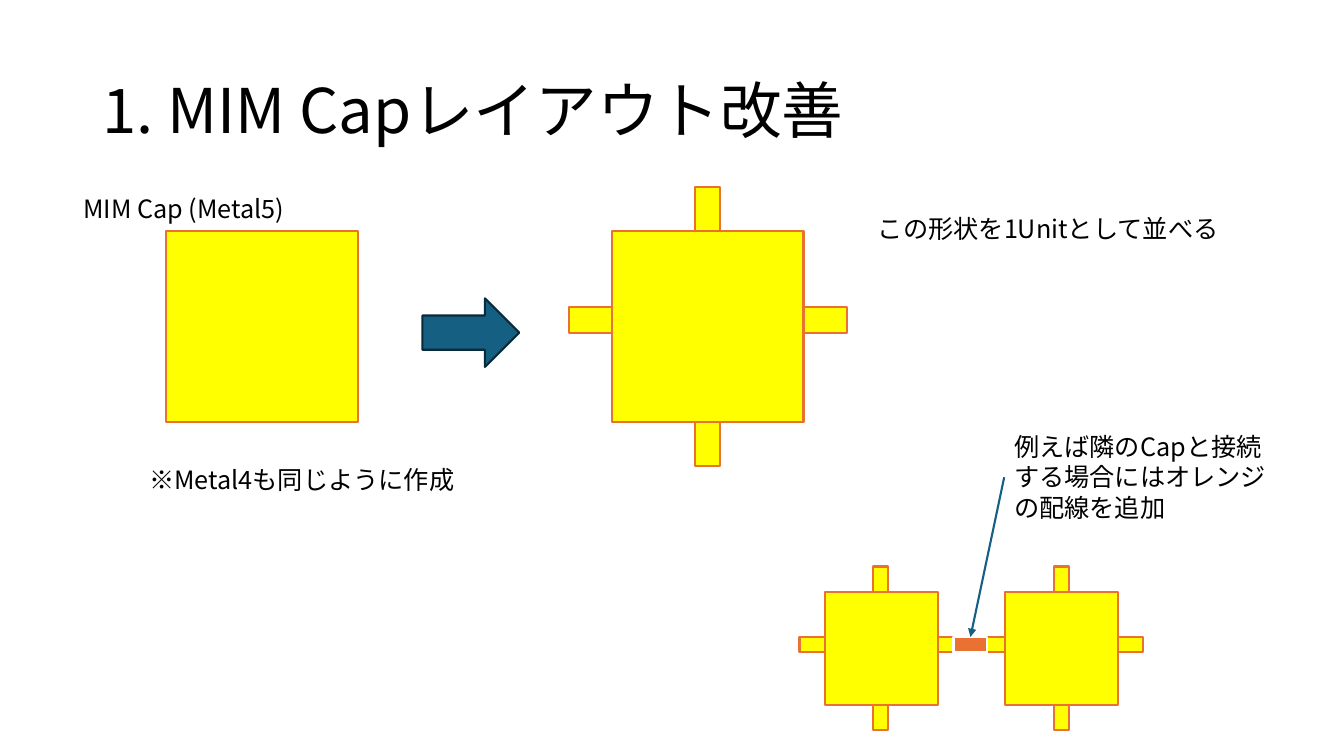
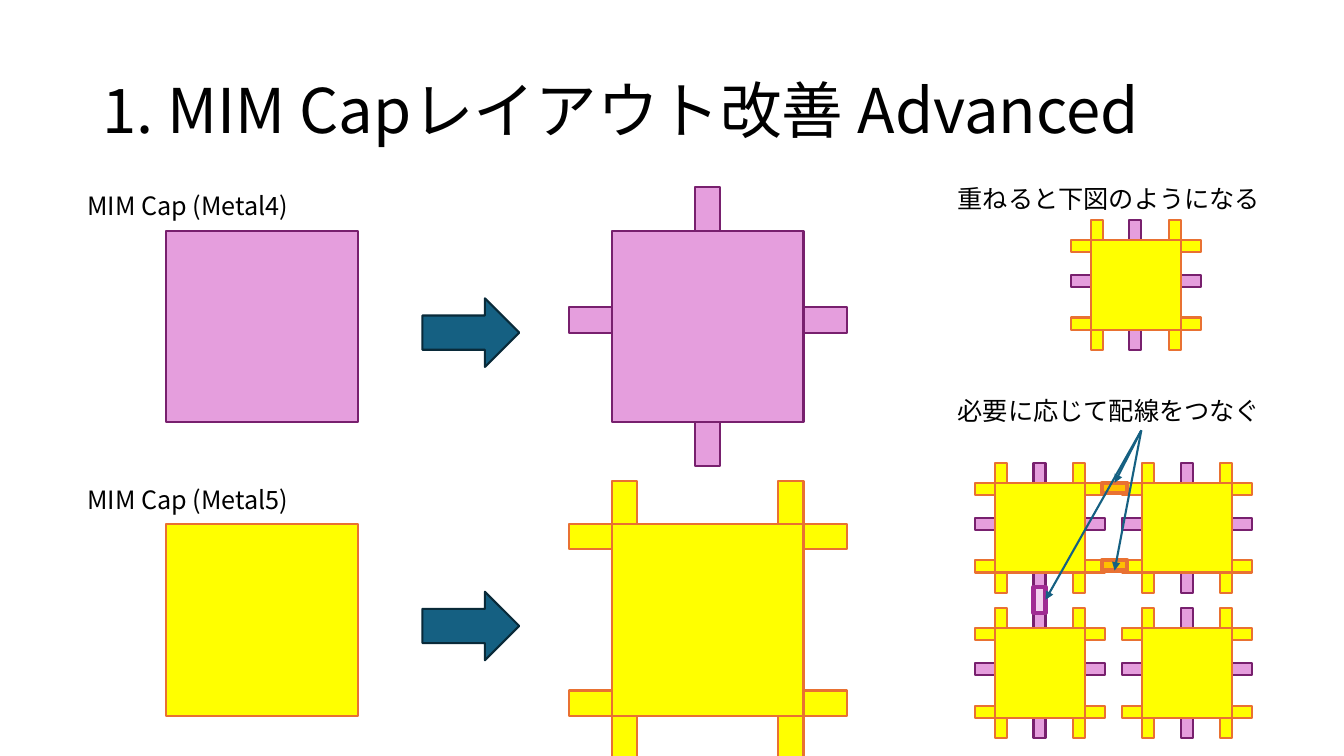
from dataclasses import dataclass
from itertools import product
from typing import NamedTuple

from lxml.etree import SubElement
from pptx import Presentation
from pptx.dml.color import RGBColor
from pptx.enum.lang import MSO_LANGUAGE_ID
from pptx.enum.shapes import MSO_CONNECTOR, MSO_SHAPE
from pptx.enum.text import MSO_ANCHOR
from pptx.oxml.ns import qn
from pptx.util import Emu, Pt

PX = 9144  # EMU per px, 100 px to the inch
TOP, LEFT, BOTTOM, RIGHT = range(4)  # connection sites of a rectangle


class Paint(NamedTuple):
    fill: str
    line: str
    weight: float = 1.5


class Box(NamedTuple):
    x: int
    y: int
    w: int
    h: int


@dataclass(frozen=True)
class Theme:
    font: str = "Noto Sans CJK JP"
    title_size: int = 44
    body_size: int = 18
    text: str = "000000"
    pointer: str = "156082"
    arrow: Paint = Paint("156082", "092A39")
    metal4: Paint = Paint("E59EDD", "78206E")
    metal5: Paint = Paint("FFFF00", "E97132")
    orange_wire: Paint = Paint("E97132", "FFFFFF", 2)
    wire4: Paint = Paint("F2CFEE", "A02B93", 3)
    wire5: Paint = Paint("FFC000", "E97132", 3)


THEME = Theme()


class Layer(NamedTuple):
    """Strips of one metal, in the middle or at the corners of the plate."""
    paint: Paint
    corners: bool = False


CROSS4 = Layer(THEME.metal4)
CROSS5 = Layer(THEME.metal5)
CORNERS5 = Layer(THEME.metal5, corners=True)


def emu(box: Box) -> list[Emu]:
    return [Emu(v * PX) for v in box]


def rgb(color: str) -> RGBColor:
    return RGBColor.from_string(color)


def add_shape(shapes, box: Box, paint: Paint, kind=MSO_SHAPE.RECTANGLE):
    sp = shapes.add_shape(kind, *emu(box))
    sp.shadow.inherit = False
    sp.fill.solid()
    sp.fill.fore_color.rgb = rgb(paint.fill)
    sp.line.color.rgb = rgb(paint.line)
    sp.line.width = Pt(paint.weight)
    return sp


def add_text(s, text: str, box: Box, *, size: int = THEME.body_size,
             anchor=MSO_ANCHOR.TOP, spacing: float = 1.0):
    sp = s.shapes.add_textbox(*emu(box))
    tf = sp.text_frame
    tf.word_wrap = True
    tf.vertical_anchor = anchor
    p = tf.paragraphs[0]
    p.line_spacing = spacing
    r = p.add_run()
    r.text = text
    r.font.size = Pt(size)
    r.font.color.rgb = rgb(THEME.text)
    r.font.name = THEME.font
    r.font.language_id = MSO_LANGUAGE_ID.JAPANESE
    SubElement(r.font._element, qn("a:ea"), typeface=THEME.font)
    return sp


def add_pointer(s, start, start_site: int, end, end_site: int) -> None:
    """Arrow joined to one side of each of two shapes."""
    cxn = s.shapes.add_connector(MSO_CONNECTOR.STRAIGHT, 0, 0, 0, 0)
    cxn.begin_connect(start, start_site)
    cxn.end_connect(end, end_site)
    cxn.line.color.rgb = rgb(THEME.pointer)
    cxn.line.width = Pt(1.5)
    SubElement(cxn.line._get_or_add_ln(), qn("a:tailEnd"), type="triangle")
    SubElement(cxn._element.spPr, qn("a:effectLst"))


def add_unit(s, x: int, y: int, size: int, *layers: Layer) -> None:
    """Capacitor plate over its strips; every part scales with the plate."""
    shapes = s.shapes.add_group_shape().shapes
    length, width = round(1.45 * size), round(0.134 * size)
    overhang = (length - size) // 2
    far = size - width
    for layer in layers:
        middle = far // 2
        columns = (0, far) if layer.corners else (middle,)
        rows = (0, far) if layer.corners else (middle - round(0.03 * size),)
        for dx in columns:
            add_shape(shapes, Box(x + dx, y - overhang, width, length), layer.paint)
        for dy in rows:
            add_shape(shapes, Box(x - overhang, y + dy, length, width), layer.paint)
    add_shape(shapes, Box(x, y, size, size), layers[-1].paint)


def add_step(s, y: int, layer: Layer) -> None:
    """Plain plate, block arrow and the plate with strips."""
    size = 190
    add_shape(s.shapes, Box(165, y, size, size), layer.paint)
    add_shape(s.shapes, Box(419, y + 67, 96, 68), THEME.arrow, MSO_SHAPE.RIGHT_ARROW)
    add_unit(s, 607, y, size, layer)


def add_slide(prs, title: str):
    s = prs.slides.add_slide(prs.slide_layouts[6])
    add_text(s, title, Box(92, 40, 1150, 145), size=THEME.title_size,
             anchor=MSO_ANCHOR.MIDDLE, spacing=0.9)
    return s


def build_basic(prs) -> None:
    s = add_slide(prs, "1. MIM Capレイアウト改善")
    add_step(s, 229, CROSS5)
    add_text(s, "MIM Cap (Metal5)", Box(73, 187, 237, 40))
    add_text(s, "※Metal4も同じように作成", Box(138, 456, 384, 40))
    add_text(s, "この形状を1Unitとして並べる", Box(861, 207, 384, 40))

    # Two neighbouring units and the wire between them
    for x in (818, 997):
        add_unit(s, x, 587, 112, CROSS5)
    note = add_text(s, "例えば隣のCapと接続する場合にはオレンジの配線を追加",
                    Box(996, 423, 290, 101))
    wire = add_shape(s.shapes, Box(946, 632, 33, 15), THEME.orange_wire)
    add_pointer(s, note, LEFT, wire, TOP)


def build_advanced(prs) -> None:
    s = add_slide(prs, "1. MIM Capレイアウト改善 Advanced")
    add_step(s, 229, CROSS4)
    add_step(s, 520, CORNERS5)
    add_text(s, "MIM Cap (Metal4)", Box(77, 184, 237, 40))
    add_text(s, "MIM Cap (Metal5)", Box(77, 476, 237, 40))

    # Both metals stacked, alone and as a grid
    add_text(s, "重ねると下図のようになる", Box(940, 177, 384, 40))
    add_unit(s, 1082, 238, 89, CROSS4, CORNERS5)
    for y, x in product((479, 623), (987, 1133)):
        add_unit(s, x, y, 89, CROSS4, CORNERS5)

    # Wires joining the grid
    note = add_text(s, "必要に応じて配線をつなぐ", Box(940, 387, 384, 40))
    wires = (
        (Box(1093, 479, 25, 10), THEME.wire5, TOP),
        (Box(1025, 582, 12, 26), THEME.wire4, RIGHT),
        (Box(1093, 556, 25, 10), THEME.wire5, BOTTOM),
    )
    joined = [(add_shape(s.shapes, box, paint), site) for box, paint, site in wires]
    for wire, site in joined:
        add_pointer(s, note, BOTTOM, wire, site)


def main() -> None:
    prs = Presentation()
    prs.slide_width, prs.slide_height = Emu(1333 * PX), Emu(750 * PX)
    build_basic(prs)
    build_advanced(prs)
    prs.save("out.pptx")


if __name__ == "__main__":
    main()
